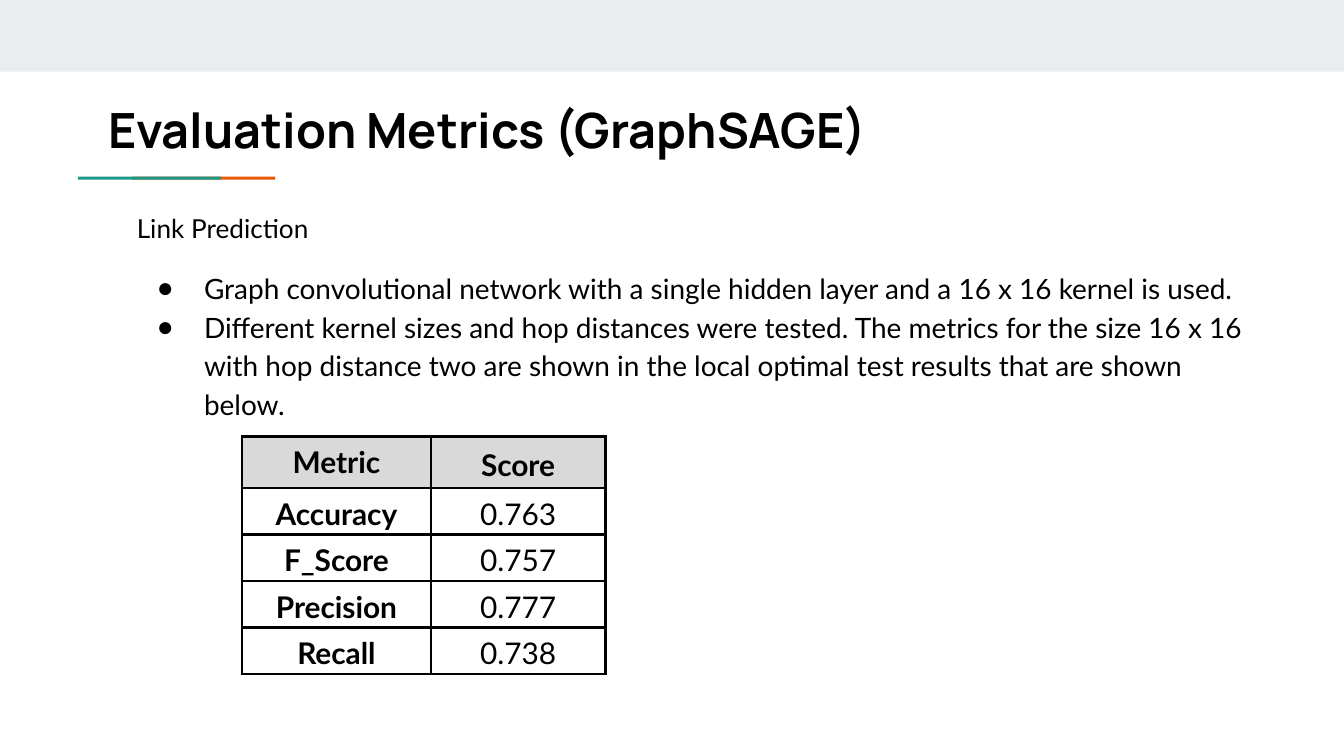
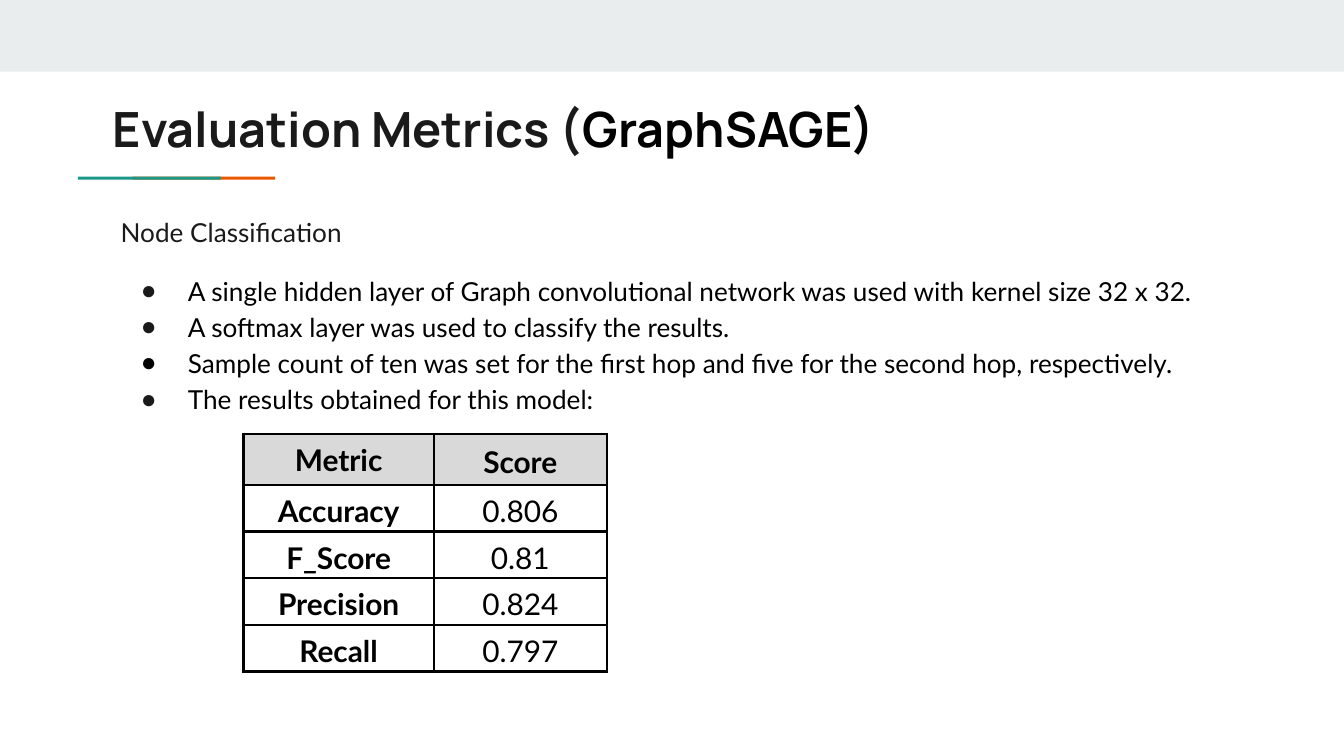
from lxml import etree
from pptx import Presentation
from pptx.dml.color import RGBColor
from pptx.enum.shapes import MSO_SHAPE
from pptx.enum.text import MSO_ANCHOR, MSO_AUTO_SIZE, PP_ALIGN
from pptx.oxml.ns import qn
from pptx.util import Pt

RECT = MSO_SHAPE.RECTANGLE
TOP, MIDDLE = MSO_ANCHOR.TOP, MSO_ANCHOR.MIDDLE
LEFT, CENTER = PP_ALIGN.LEFT, PP_ALIGN.CENTER
NO_FIT = MSO_AUTO_SIZE.NONE

# Shared style
BLACK = RGBColor(0x00, 0x00, 0x00)
INK = RGBColor(0x1A, 0x1A, 0x1A)
BAND = RGBColor(0xE9, 0xED, 0xEE)
TEAL = RGBColor(0x1A, 0x99, 0x88)
ORANGE = RGBColor(0xEB, 0x56, 0x00)
HEADER = RGBColor(0xD9, 0xD9, 0xD9)
TITLE_FONT, BODY_FONT, BULLET_FONT = "Manrope", "Lato", "Arial"
SLIDE_W, SLIDE_H = 720, 405
INSET = 7.2
SPACING = 1.15
ROW_HEIGHTS = [27.5] + [23.3] * 4
METRICS = ["Accuracy", "F_Score", "Precision", "Recall"]


def style_run(r, font, size, color, bold=False):
    r.font.name = font
    r.font.size = Pt(size)
    r.font.bold = bold
    r.font.color.rgb = color


def add_bar(s, x, y, w, h, color):
    sp = s.shapes.add_shape(RECT, Pt(x), Pt(y), Pt(w), Pt(h))
    sp.shadow.inherit = False
    sp.fill.solid()
    sp.fill.fore_color.rgb = color
    sp.line.fill.background()


def add_frame(s):
    """Top band and the two overlapping bars under the title."""
    add_bar(s, 0, 0, SLIDE_W, 38.4, BAND)
    for x, color in ((70.9, ORANGE), (41.8, TEAL)):
        add_bar(s, x, 94.7, 76.6, 1.6, color)


def place(sp, box):
    """Move a placeholder and return its text frame, ready for text."""
    sp.left, sp.top, sp.width, sp.height = (Pt(v) for v in box)
    tf = sp.text_frame
    tf.word_wrap = True
    tf.auto_size = NO_FIT
    tf.vertical_anchor = TOP
    tf.margin_left = tf.margin_right = Pt(INSET)
    tf.margin_top = tf.margin_bottom = Pt(INSET)
    return tf


def set_title(s, box, parts):
    p = place(s.shapes.title, box).paragraphs[0]
    p.alignment = LEFT
    for text, color in parts:
        r = p.add_run()
        r.text = text
        style_run(r, TITLE_FONT, 26, color, True)


def set_bullet(p, color=None):
    """Give a paragraph a round bullet, or none when no colour is given."""
    pPr = p._p.get_or_add_pPr()
    pPr.set("marL", str(Pt(36 if color else 0)))
    pPr.set("indent", str(Pt(-25.2 if color else 0)))
    if color is None:
        etree.SubElement(pPr, qn("a:buNone"))
        return
    clr = etree.SubElement(pPr, qn("a:buClr"))
    etree.SubElement(clr, qn("a:srgbClr"), val=str(color))
    etree.SubElement(pPr, qn("a:buFont"), typeface=BULLET_FONT)
    etree.SubElement(pPr, qn("a:buChar"), char="●")


def set_body(s, box, lead, lead_color, lead_spacing, bullets, size):
    tf = place(s.placeholders[1], box)
    p = tf.paragraphs[0]
    p.text = lead
    p.line_spacing = lead_spacing
    p.space_before = Pt(0)
    set_bullet(p)
    style_run(p.runs[0], BODY_FONT, 14, lead_color)
    for i, (text, bullet_color) in enumerate(bullets):
        p = tf.add_paragraph()
        p.text = text
        p.line_spacing = SPACING
        p.space_before = Pt(0 if i else 12)
        set_bullet(p, bullet_color)
        style_run(p.runs[0], BODY_FONT, size, BLACK)


def set_borders(cell):
    tcPr = cell._tc.get_or_add_tcPr()
    for side in ("lnL", "lnR", "lnT", "lnB"):
        ln = etree.SubElement(tcPr, qn("a:" + side), w=str(Pt(1.5)))
        fill = etree.SubElement(ln, qn("a:solidFill"))
        etree.SubElement(fill, qn("a:srgbClr"), val=str(BLACK))


def add_scores(s, x, y, col_widths, scores):
    rows = [("Metric", "Score")] + list(zip(METRICS, scores))
    table = s.shapes.add_table(len(rows), 2, Pt(x), Pt(y), Pt(sum(col_widths)),
                               Pt(sum(ROW_HEIGHTS))).table
    table.horz_banding = False
    for col, w in zip(table.columns, col_widths):
        col.width = Pt(w)
    for i, row in enumerate(rows):
        table.rows[i].height = Pt(ROW_HEIGHTS[i])
        for j, text in enumerate(row):
            cell = table.cell(i, j)
            cell.vertical_anchor = MIDDLE
            cell.margin_left = cell.margin_right = Pt(2.2)
            cell.margin_top = cell.margin_bottom = Pt(1.5)
            set_borders(cell)
            if i == 0:
                cell.fill.solid()
                cell.fill.fore_color.rgb = HEADER
            else:
                cell.fill.background()
            p = cell.text_frame.paragraphs[0]
            p.text = text
            p.alignment = CENTER
            p.line_spacing = 1.0 if i == j == 0 else SPACING
            style_run(p.runs[0], BODY_FONT, 16, BLACK, i == 0 or j == 0)


def add_slide(prs):
    s = prs.slides.add_slide(prs.slide_layouts[1])
    add_frame(s)
    return s


def main():
    prs = Presentation()
    prs.slide_width, prs.slide_height = Pt(SLIDE_W), Pt(SLIDE_H)

    # Link prediction
    s = add_slide(prs)
    set_title(s, (50.7, 46.4, 535.7, 34.6),
              [("Evaluation Metrics (GraphSAGE)", BLACK)])
    set_body(s, (66.1, 106.8, 613.4, 135.4), "Link Prediction", BLACK, 1.0, [
        ("Graph convolutional network with a single hidden layer and a "
         "16 x 16 kernel is used.", BLACK),
        ("Different kernel sizes and hop distances were tested. The metrics "
         "for the size 16 x 16 with hop distance two are shown in the local "
         "optimal test results that are shown below.", BLACK),
    ], 15)
    add_scores(s, 129.7, 233.8, (101.1, 93.5),
               ["0.763", "0.757", "0.777", "0.738"])

    # Node classification
    s = add_slide(prs)
    set_title(s, (53.3, 46.1, 605.5, 42.5),
              [("Evaluation Metrics (", INK), ("GraphSAGE)", BLACK)])
    set_body(s, (57.4, 106.4, 605.5, 177.8), "Node Classification", INK,
             SPACING, [
        ("A single hidden layer of Graph convolutional network was used with "
         "kernel size 32 x 32.", INK),
        ("A softmax layer was used to classify the results.", INK),
        ("Sample count of ten was set for the first hop and five for the "
         "second hop, respectively.", BLACK),
        ("The results obtained for this model:", INK),
    ], 14)
    add_scores(s, 130.4, 232.4, (102.1, 92.6),
               ["0.806", "0.81", "0.824", "0.797"])

    prs.save("out.pptx")


if __name__ == "__main__":
    main()
